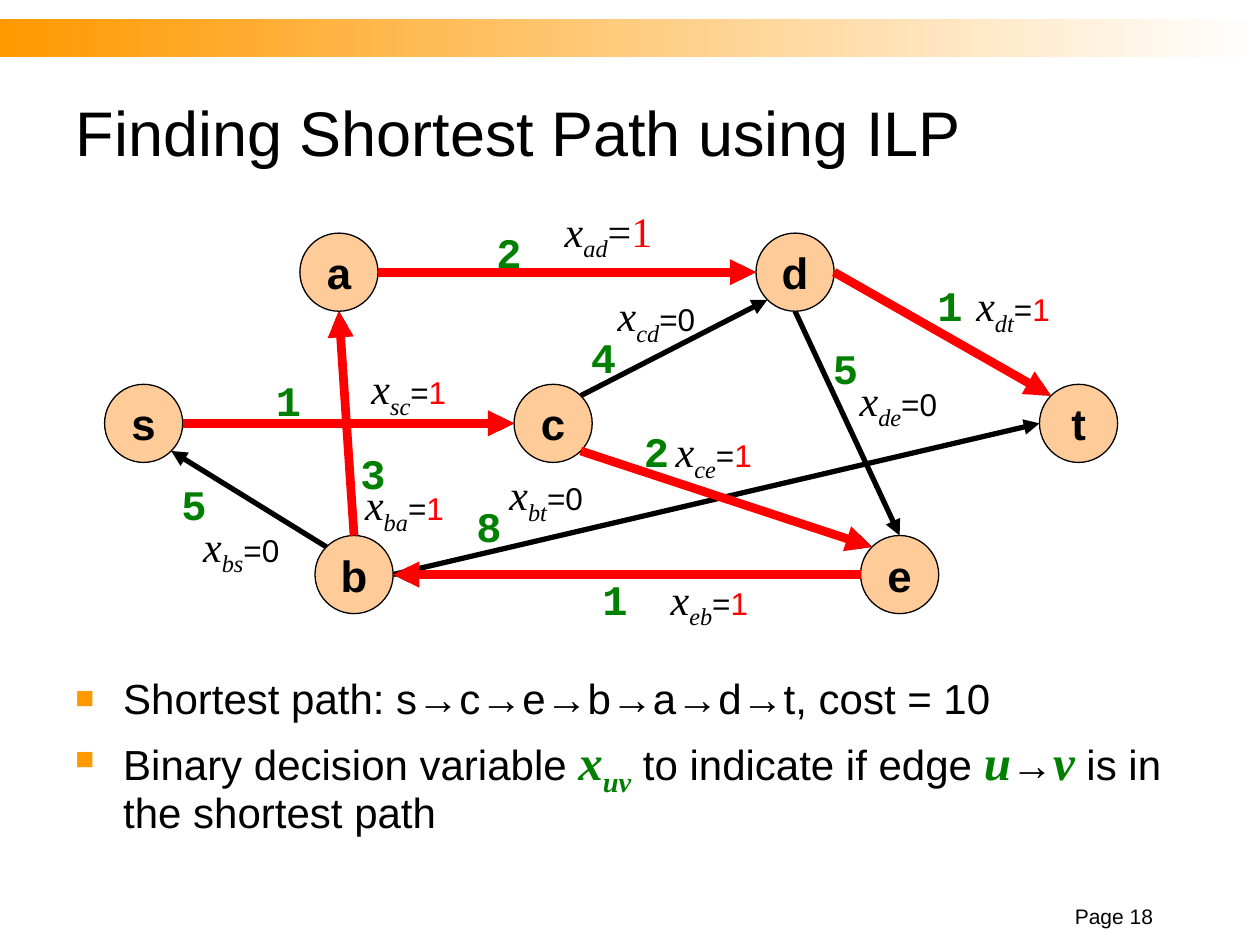
from lxml import etree
from pptx import Presentation
from pptx.dml.color import RGBColor
from pptx.enum import shapes, text
from pptx.oxml.ns import qn
from pptx.util import Inches, Pt

COLORS = {"black": "000000", "red": "FF0000", "green": "008000",
          "orange": "FF9900", "peach": "FFCC99", "white": "FFFFFF"}
SANS, SERIF, MONO = "Arial", "Times New Roman", "Courier New"

TITLE = "Finding Shortest Path using ILP"
PAGE = "Page 18"

# Run styles: font, size, colour, bold, italic, subscript
PLAIN = (SANS, 24, "black", False, False, False)
VAR = (SERIF, 28, "green", True, True, False)
VAR_SUB = (SERIF, 28, "green", True, True, True)
WEIGHT = (MONO, 24, "green", True, False, False)
NODE = (SANS, 25, "black", True, False, False)
X = (SERIF, 24, "black", False, True, False)
X_SUB = (SERIF, 24, "black", False, True, True)

BULLETS = [
    [("Shortest path: s→c→e→b→a→d→t, cost = 10", PLAIN)],
    [("Binary decision variable ", PLAIN), ("x", VAR), ("uv", VAR_SUB),
     (" to indicate if edge ", PLAIN), ("u", VAR), ("→", PLAIN), ("v", VAR),
     (" is in the shortest path", PLAIN)],
]

# Node centres
RADIUS = 0.31
ROWS = {"top": 2.16, "middle": 3.36, "bottom": 4.56}
NODES = {"s": (1.14, "middle"), "c": (4.39, "middle"), "t": (8.56, "middle"),
         "b": (2.81, "bottom"), "e": (7.14, "bottom"),
         "a": (2.69, "top"), "d": (6.31, "top")}

# Edge, exit side, entry side, weight, weight position,
# variable position and width, x value
EDGES = [
    ("bs", "NW", "SE", 5, (1.33, 3.75), (1.5, 4.08, 0.83), 0),
    ("sc", "E", "W", 1, (2.08, 2.92), (2.83, 2.83, 0.83), 1),
    ("ce", "SE", "NW", 2, (5, 3.33), (5.25, 3.33, 0.83), 1),
    ("bt", "E", "W", 8, (3.67, 3.92), (3.92, 3.67, 0.83), 0),
    ("eb", "W", "E", 1, (4.67, 4.5), (5.17, 4.5, 0.92), 1),
    ("ba", "N", "S", 3, (2.75, 3.5), (2.75, 3.75, 0.92), 1),
    ("dt", "E", "NW", 1, (7.33, 2.17), (7.58, 2.17, 0.92), 1),
    ("cd", "NE", "SW", 4, (4.58, 2.58), (4.75, 2.25, 0.92), 0),
    ("ad", "E", "W", 2, (3.83, 1.75), (4.33, 1.58, 1), 1),
    ("de", "S", "N", 5, (6.5, 2.67), (6.67, 2.92, 0.92), 0),
]


def rgb(name):
    """Return the named colour."""
    return RGBColor.from_string(COLORS[name])


def add_runs(p, runs):
    """Add (text, style) runs to a paragraph."""
    for words, (font, size, color, bold, italic, sub) in runs:
        r = p.add_run()
        r.text = words
        f = r.font
        f.name, f.size, f.bold, f.italic = font, Pt(size), bold, italic
        f.color.rgb = rgb(color)
        if sub:
            r._r.get_or_add_rPr().set("baseline", "-25000")


def add_text(s, box, runs, align=text.PP_ALIGN.CENTER):
    """Add a wrapping text box with one paragraph and return its frame."""
    tf = s.shapes.add_textbox(*map(Inches, box)).text_frame
    tf.word_wrap = True
    tf.paragraphs[0].alignment = align
    add_runs(tf.paragraphs[0], runs)
    return tf


def add_bullet(p):
    """Give a paragraph a hanging square bullet."""
    p.line_spacing = 0.9
    p.space_before = Pt(5)
    pPr = p._p.get_or_add_pPr()
    pPr.set("marL", str(Inches(0.38)))
    pPr.set("indent", str(-Inches(0.38)))
    clr = etree.SubElement(pPr, qn("a:buClr"))
    etree.SubElement(clr, qn("a:srgbClr"), val=COLORS["orange"])
    etree.SubElement(pPr, qn("a:buSzPct"), val="75000")
    etree.SubElement(pPr, qn("a:buFont"), typeface=SANS)
    etree.SubElement(pPr, qn("a:buChar"), char="■")


def rim(node, side):
    """Return the point on a node's circle that faces a compass side."""
    x, row = NODES[node]
    dx = ("E" in side) - ("W" in side)
    dy = ("S" in side) - ("N" in side)
    reach = RADIUS / (dx * dx + dy * dy) ** 0.5
    return Inches(x + dx * reach), Inches(ROWS[row] + dy * reach)


def add_edge(parent, edge, color, width):
    """Draw an edge as an arrow between two node rims."""
    (u, v), leave, enter = edge[:3]
    line = parent.shapes.add_connector(
        shapes.MSO_CONNECTOR.STRAIGHT, *rim(u, leave), *rim(v, enter))
    line.line.color.rgb = rgb(color)
    line.line.width = Pt(width)
    etree.SubElement(line.line._get_or_add_ln(), qn("a:tailEnd"), type="triangle")
    etree.SubElement(line._element.spPr, qn("a:effectLst"))


def add_node(s, name):
    """Draw a named node circle."""
    x, row = NODES[name]
    sp = s.shapes.add_shape(
        shapes.MSO_SHAPE.OVAL, Inches(x - RADIUS), Inches(ROWS[row] - RADIUS),
        Inches(2 * RADIUS), Inches(2 * RADIUS))
    sp.shadow.inherit = False
    sp.fill.solid()
    sp.fill.fore_color.rgb = rgb("peach")
    sp.line.color.rgb = rgb("black")
    sp.line.width = Pt(0.75)
    tf = sp.text_frame
    tf.word_wrap = False
    tf.vertical_anchor = text.MSO_ANCHOR.MIDDLE
    tf.margin_left = tf.margin_right = Inches(0.06)
    tf.margin_top = tf.margin_bottom = Inches(0.03)
    tf.paragraphs[0].alignment = text.PP_ALIGN.CENTER
    add_runs(tf.paragraphs[0], [(name, NODE)])


def add_variable(s, name, place, value):
    """Write a decision variable with its value, red when chosen."""
    font, size = (SERIF, 24) if name == "ad" else (SANS, 18)
    color = "red" if value else "black"
    add_text(s, (*place, 0.5), [
        ("x", X), (name, X_SUB),
        ("=", (font, size, "black", False, False, False)),
        (str(value), (font, size, color, False, False, False))])


prs = Presentation()
prs.slide_width, prs.slide_height = Inches(10), Inches(7.5)
s = prs.slides.add_slide(prs.slide_layouts[5])

band = s.shapes.add_shape(shapes.MSO_SHAPE.RECTANGLE, 0, Inches(0.15),
                          Inches(10), Inches(0.3))
band.shadow.inherit = False
band.line.fill.background()
band.fill.gradient()
band.fill.gradient_angle = 0
for stop, color in zip(band.fill.gradient_stops, ("orange", "white")):
    stop.color.rgb = rgb(color)

title = s.shapes.title
title.left, title.top, title.width, title.height = map(Inches, (0.5, 0.5, 9, 1.08))
title.text_frame.vertical_anchor = text.MSO_ANCHOR.MIDDLE
title.text_frame.paragraphs[0].alignment = text.PP_ALIGN.LEFT
add_runs(title.text_frame.paragraphs[0],
         [(TITLE, (SANS, 36, "black", False, False, False))])

page = add_text(s, (8.25, 7.17, 1, 0.25),
                [(PAGE, (SANS, 12, "black", False, False, False))],
                text.PP_ALIGN.RIGHT)
page.vertical_anchor = text.MSO_ANCHOR.BOTTOM

body = add_text(s, (0.5, 5.33, 9, 1.42), BULLETS[0], text.PP_ALIGN.LEFT)
for runs in BULLETS[1:]:
    add_runs(body.add_paragraph(), runs)
for p in body.paragraphs:
    add_bullet(p)

for edge in EDGES:
    add_edge(s, edge, "black", 3)
for name in NODES:
    add_node(s, name)
for edge in EDGES:
    add_text(s, (*edge[4], 0.42, 0.5), [(str(edge[3]), WEIGHT)])
shortest_path = s.shapes.add_group_shape()
for edge in EDGES:
    if edge[6]:
        add_edge(shortest_path, edge, "red", 5)
for edge in EDGES:
    add_variable(s, edge[0], edge[5], edge[6])

prs.save("out.pptx")
